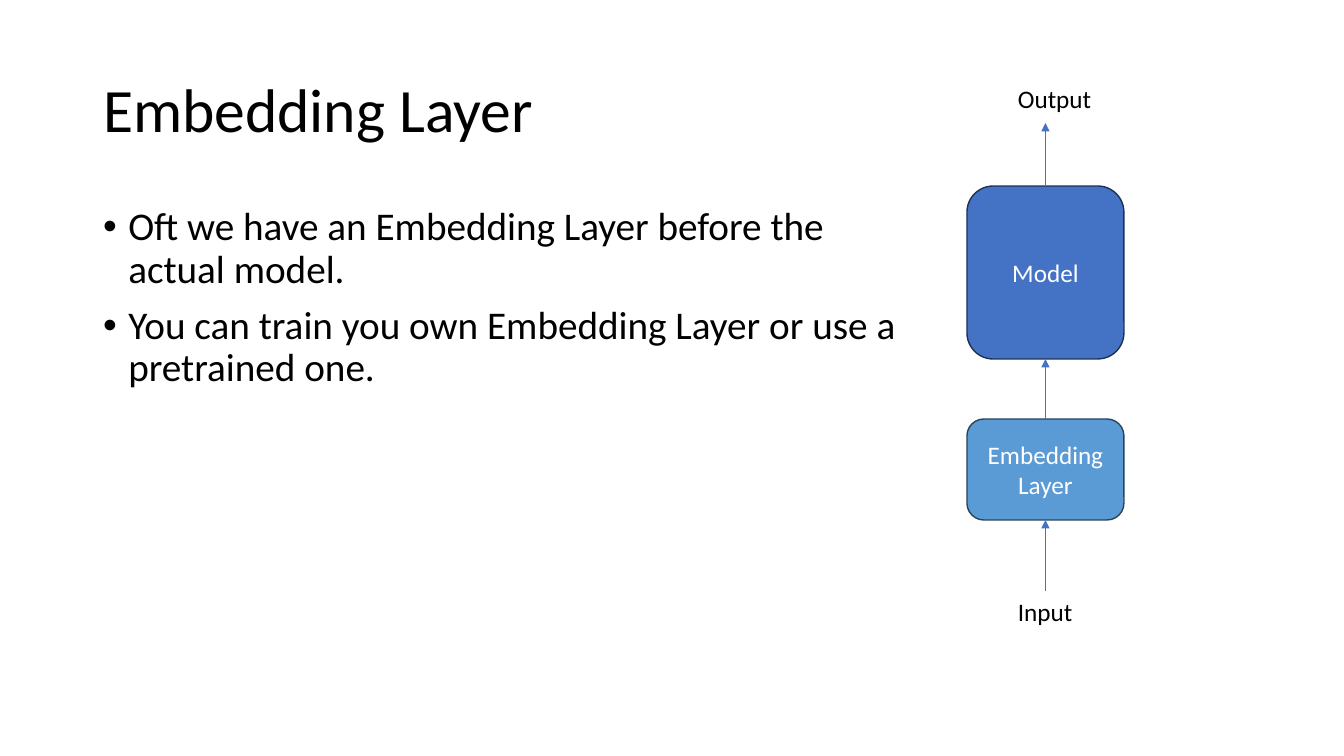
from pptx import Presentation
from pptx.dml.color import RGBColor
from pptx.enum.shapes import MSO_CONNECTOR as CONN, MSO_SHAPE as SHAPE
from pptx.enum.text import MSO_ANCHOR as ANCHOR, MSO_AUTO_SIZE as FIT, PP_ALIGN as ALIGN
from pptx.oxml.ns import qn
from pptx.util import Inches, Pt
from lxml.etree import SubElement

TITLE = ("Embedding Layer", (93, 40, 1159, 146))
BULLETS = [
    "Oft we have an Embedding Layer before the actual model.",
    "You can train you own Embedding Layer or use a pretrained one.",
]
BODY_BOX = (93, 202, 832, 480)
BLOCKS = [
    ("Embedding Layer", 419, 101, "5B9BD5", "28445D"),
    ("Model", 186, 173, "4472C4", "1E3256"),
]
LABELS = [("Input", 591, 76), ("Output", 78, 95)]
LABEL_LEFT, LABEL_H = 1008, 40
BLOCK_LEFT, BLOCK_W = 967, 157
INPUT_Y, OUTPUT_Y = 591, 123
ARROW = "4472C4"
FONT = "Calibri"


def px(*values):
    return [round(v * Inches(1) / 100.8) for v in values]


def color(value):
    return RGBColor.from_string(value)


def style(p, size, value="000000", align=ALIGN.LEFT):
    p.alignment = align
    for r in p.runs:
        r.font.name, r.font.size = FONT, Pt(size)
        r.font.color.rgb = color(value)


def fill_placeholder(s, box, lines, size, anchor):
    s.left, s.top, s.width, s.height = px(*box)
    tf = s.text_frame
    tf.text = "\n".join(lines)
    tf.auto_size, tf.vertical_anchor = FIT.NONE, anchor
    for p in tf.paragraphs:
        p.line_spacing = 0.9
        style(p, size)
    return tf.paragraphs


def add_block(shapes, text, top, height, fill, line):
    s = shapes.add_shape(SHAPE.ROUNDED_RECTANGLE, *px(BLOCK_LEFT, top, BLOCK_W, height))
    s.shadow.inherit = False
    s.fill.solid()
    s.fill.fore_color.rgb = color(fill)
    s.line.color.rgb, s.line.width = color(line), Pt(1)
    tf = s.text_frame
    tf.text, tf.word_wrap, tf.vertical_anchor = text, True, ANCHOR.MIDDLE
    style(tf.paragraphs[0], 18, "FFFFFF", ALIGN.CENTER)


def add_arrow(shapes, start, end):
    x = BLOCK_LEFT + BLOCK_W / 2
    s = shapes.add_connector(CONN.STRAIGHT, *px(x, start, x, end))
    s.line.color.rgb, s.line.width = color(ARROW), Pt(0.5)
    SubElement(s.line._get_or_add_ln(), qn("a:tailEnd"), type="triangle")
    SubElement(s._element.spPr, qn("a:effectLst"))


def add_label(shapes, text, top, width):
    tf = shapes.add_textbox(*px(LABEL_LEFT, top, width, LABEL_H)).text_frame
    tf.text, tf.word_wrap, tf.auto_size = text, False, FIT.SHAPE_TO_FIT_TEXT
    style(tf.paragraphs[0], 18)


def main():
    """Build the embedding layer slide and save it."""
    prs = Presentation()
    prs.slide_width, prs.slide_height = px(1344, 756)
    slide = prs.slides.add_slide(prs.slide_layouts[1])
    shapes = slide.shapes
    title, title_box = TITLE
    fill_placeholder(shapes.title, title_box, [title], 44, ANCHOR.MIDDLE)
    bullets = fill_placeholder(slide.placeholders[1], BODY_BOX, BULLETS, 28, ANCHOR.TOP)
    for i, p in enumerate(bullets):
        pPr = p._p.get_or_add_pPr()
        pPr.set("marL", str(Inches(0.25)))
        pPr.set("indent", str(-Inches(0.25)))
        p.space_before = Pt(10 if i else 0)
    for block in BLOCKS:
        add_block(shapes, *block)
    starts = [INPUT_Y] + [top for _, top, *_ in BLOCKS]
    ends = [top + height for _, top, height, *_ in BLOCKS] + [OUTPUT_Y]
    for start, end in zip(starts, ends):
        add_arrow(shapes, start, end)
    for label in LABELS:
        add_label(shapes, *label)
    prs.save("out.pptx")


if __name__ == "__main__":
    main()
